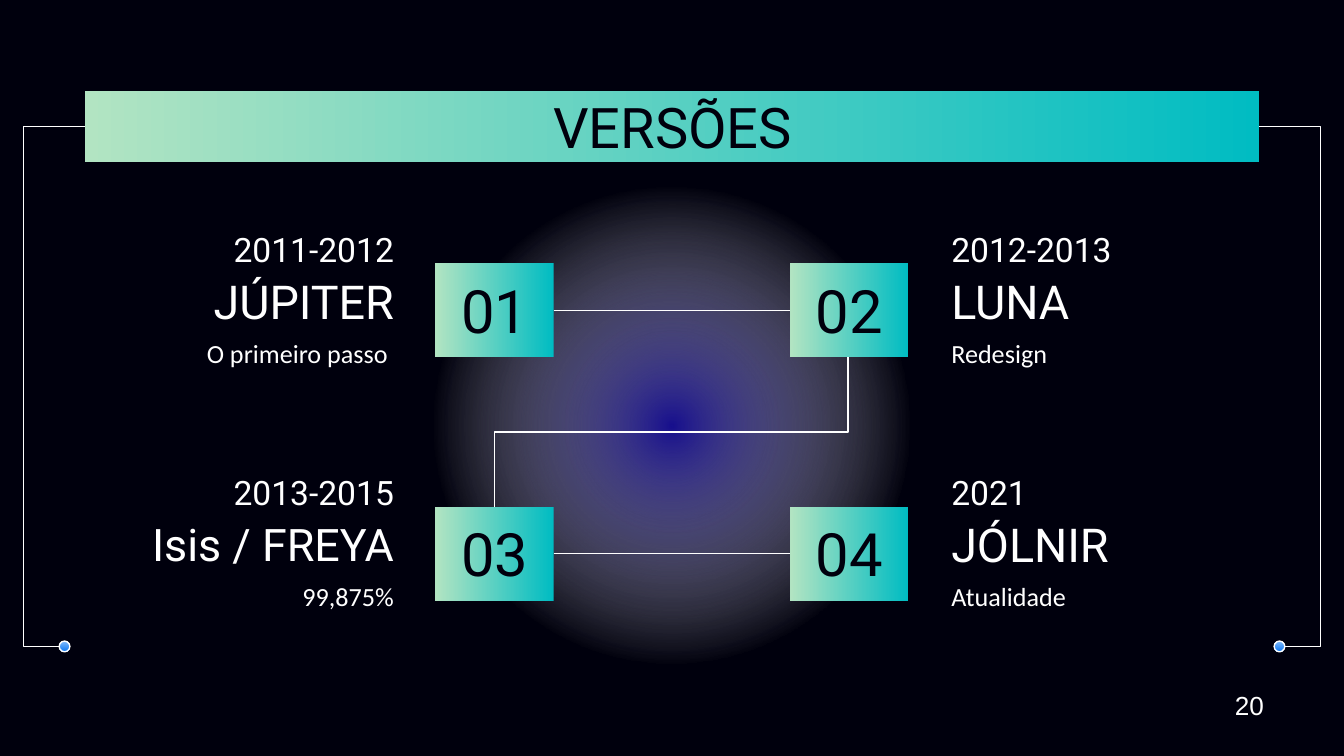
"""Build the timeline slide of the four versions."""
import pptx
import pptx.dml.color
import pptx.enum.shapes
import pptx.enum.text
import pptx.oxml
import pptx.oxml.ns
import pptx.util

Inches = pptx.util.Inches
RGBColor = pptx.dml.color.RGBColor
Kind = pptx.enum.shapes.MSO_SHAPE
Link = pptx.enum.shapes.MSO_CONNECTOR
Align = pptx.enum.text.PP_ALIGN
Anchor = pptx.enum.text.MSO_ANCHOR
qn = pptx.oxml.ns.qn

NIGHT = RGBColor(0x00, 0x00, 0x0D)
WHITE = RGBColor(0xFF, 0xFF, 0xFF)
TEAL = RGBColor(0x00, 0xBC, 0xC2)
MINT = RGBColor(0xB2, 0xE4, 0xC2)
SKY = RGBColor(0x82, 0xBC, 0xFE)
BLUE = RGBColor(0x0C, 0x77, 0xF1)
INDIGO = RGBColor(0x17, 0x0F, 0x8D)

STEPS = [
    ("01", "2011-2012", "JÚPITER", 25, "O primeiro passo "),
    ("02", "2012-2013", "LUNA", 25, "Redesign"),
    ("03", "2013-2015", "Isis / FREYA", 24, "99,875%"),
    ("04", "2021", "JÓLNIR", 25, "Atualidade"),
]


def add_form(shapes, kind, box, start, end, angle):
    """Add a borderless shape with a linear gradient."""
    form = shapes.add_shape(kind, *map(Inches, box))
    form.shadow.inherit = False
    form.line.fill.background()
    form.fill.gradient()
    form.fill.gradient_angle = angle
    for stop, color in zip(form.fill.gradient_stops, (start, end)):
        stop.color.rgb = color
    return form


def add_glow(shapes):
    """Add the round glow that fades to clear."""
    glow = add_form(shapes, Kind.OVAL, (2.83, 1.22, 4.33, 3.89), INDIGO, WHITE, 0)
    clear = f'<a:srgbClr val="{WHITE}"><a:alpha val="0"/></a:srgbClr>'
    fill = pptx.oxml.parse_xml(
        f'<a:gradFill {pptx.oxml.ns.nsdecls("a")}><a:gsLst>'
        f'<a:gs pos="0"><a:srgbClr val="{INDIGO}"/></a:gs>'
        f'<a:gs pos="61000">{clear}</a:gs><a:gs pos="100000">{clear}</a:gs>'
        '</a:gsLst><a:path path="circle">'
        '<a:fillToRect l="50000" t="50000" r="50000" b="50000"/>'
        '</a:path></a:gradFill>')
    props = glow.element.spPr
    props.replace(props.find(qn("a:gradFill")), fill)


def set_text(shape, text, size, font, color, align, anchor, pad=0.1):
    """Fill a text shape and format its only run."""
    frame = shape.text_frame
    frame.text = text
    frame.word_wrap = True
    frame.auto_size = pptx.enum.text.MSO_AUTO_SIZE.NONE
    frame.vertical_anchor = anchor
    frame.margin_left = frame.margin_right = Inches(0.1)
    frame.margin_top = frame.margin_bottom = Inches(pad)
    para = frame.paragraphs[0]
    para.alignment = align
    style = para.runs[0].font
    style.size = pptx.util.Pt(size)
    style.name = font
    style.color.rgb = color


def add_text(shapes, box, *style):
    """Add a text box."""
    set_text(shapes.add_textbox(*map(Inches, box)), *style)


def add_line(shapes, kind, start, end, bend=None, turn=0):
    """Add a thin white connector, bent or turned on request."""
    line = shapes.add_connector(kind, *map(Inches, start + end))
    line.line.color.rgb = WHITE
    line.line.width = pptx.util.Pt(0.75)
    props = line.element.spPr
    props.append(props.makeelement(qn("a:effectLst"), {}))
    if turn:
        props.find(qn("a:xfrm")).set("rot", str(turn * 60000))
    if bend is not None:
        geom = props.find(qn("a:prstGeom"))
        guides = geom.find(qn("a:avLst"))
        if guides is None:
            guides = geom.makeelement(qn("a:avLst"), {})
            geom.append(guides)
        guide = guides.makeelement(
            qn("a:gd"), {"name": "adj1", "fmla": f"val {round(bend * 100000)}"})
        guides.append(guide)


def add_step(shapes, index, step):
    """Add one numbered box with its date, name and note."""
    number, date, name, size, note = step
    row, col = divmod(index, 2)
    left, top = 3.24 + 2.64 * col, 1.96 + 1.81 * row
    side = 0.79 + 6.19 * col
    align = Align.LEFT if col else Align.RIGHT
    add_form(shapes, Kind.RECTANGLE, (left, top, 0.88, 0.7), TEAL, MINT, 180)
    add_text(shapes, (left + 0.05, top + 0.11, 0.78, 0.47), number, 32,
             "Roboto", NIGHT, Align.CENTER, Anchor.MIDDLE)
    add_text(shapes, (side, top - 0.36, 2.24, 0.51), date, 18,
             "Roboto", WHITE, align, Anchor.MIDDLE)
    add_text(shapes, (side, top + 0.02, 2.24, 0.51), name, size,
             "Roboto", WHITE, align, Anchor.MIDDLE)
    add_text(shapes, (side, top + 0.45, 2.24, 0.63), note, 14,
             "Calibri", WHITE, align, Anchor.TOP)


def add_hook(shapes, dot, start, end):
    """Add a side bracket that ends in a dot."""
    parts = shapes.add_group_shape().shapes
    ball = add_form(parts, Kind.OVAL, (dot, 4.77, 0.08, 0.08), SKY, BLUE, 270)
    ball.line.color.rgb = WHITE
    ball.line.width = pptx.util.Pt(0.75)
    add_line(parts, Link.ELBOW, (start, 4.81), (end, 0.94), -1.39)


def add_title(slide):
    """Place the title over its bar."""
    title = slide.shapes.title
    title.left, title.top = Inches(0.79), Inches(0.59)
    title.width, title.height = Inches(8.43), Inches(0.63)
    set_text(title, "VERSÕES", 30, "Roboto", NIGHT, Align.CENTER, Anchor.TOP)
    slide.shapes.element.append(title.element)


def main():
    """Build and save the slide."""
    deck = pptx.Presentation()
    deck.slide_width = Inches(10)
    deck.slide_height = Inches(10 * 9 / 16)
    slide = deck.slides.add_slide(deck.slide_layouts[5])
    slide.background.fill.solid()
    slide.background.fill.fore_color.rgb = NIGHT
    shapes = slide.shapes
    add_glow(shapes)
    add_form(shapes, Kind.RECTANGLE, (0.63, 0.68, 8.74, 0.53), TEAL, MINT, 180)
    for index, step in enumerate(STEPS):
        add_step(shapes, index, step)
    for level in (2.31, 4.12):
        add_line(shapes, Link.STRAIGHT, (4.12, level), (5.88, level))
    add_line(shapes, Link.ELBOW, (4.44, 1.9), (5.55, 4.53), 0.5, 90)
    add_hook(shapes, 0.44, 0.44, 0.63)
    add_hook(shapes, 9.48, 9.56, 9.37)
    add_title(slide)
    add_text(shapes, (9.09, 5.08, 0.44, 0.34), "20", 14,
             "Arial", WHITE, Align.LEFT, Anchor.TOP, 0.05)
    deck.save("out.pptx")


if __name__ == "__main__":
    main()
